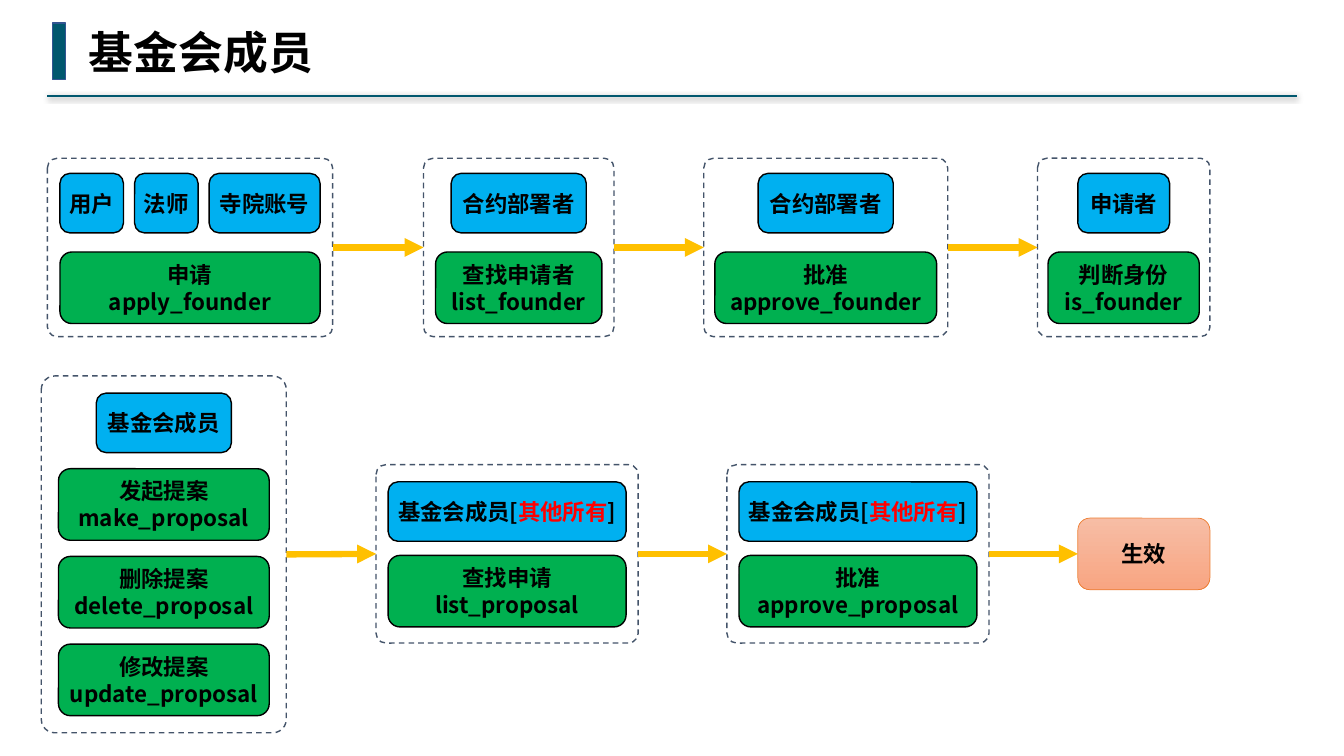
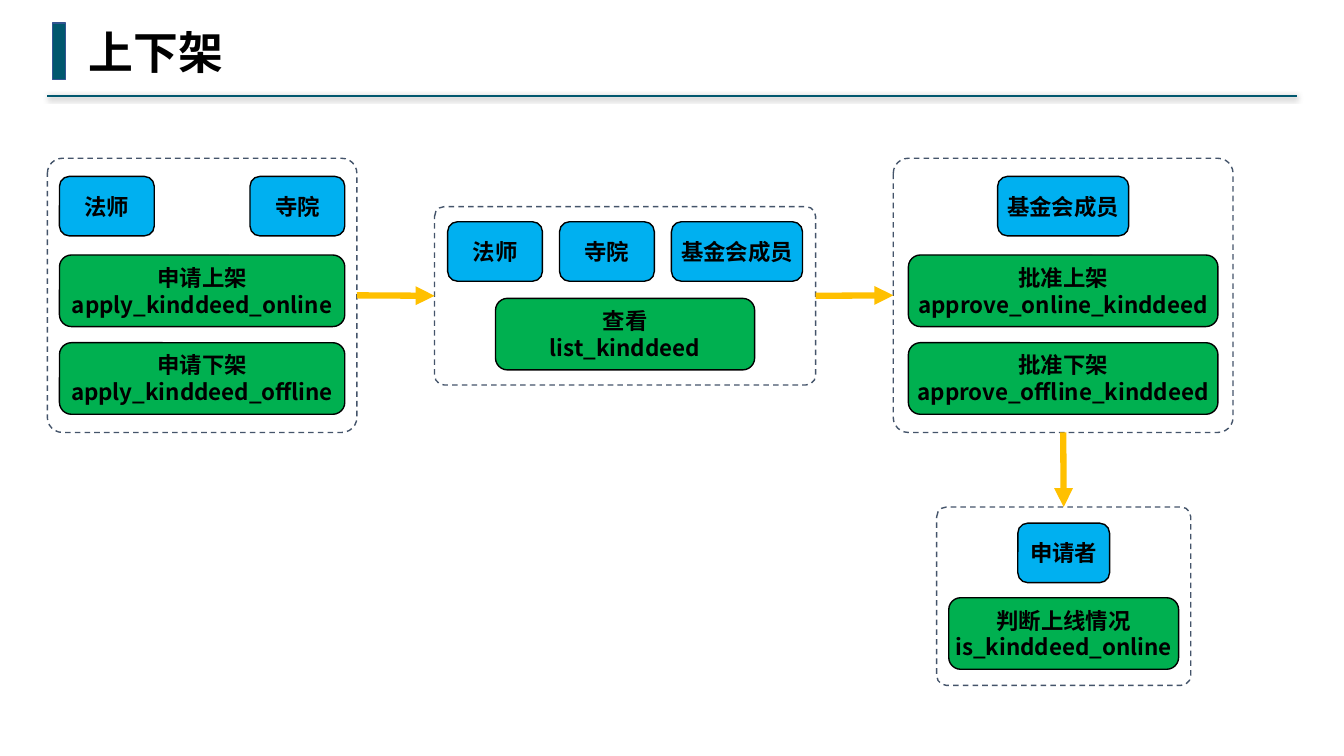
from lxml import etree
from pptx import Presentation
from pptx.dml.color import RGBColor
from pptx.enum.dml import MSO_LINE
from pptx.enum.shapes import MSO_CONNECTOR as CONNECTOR, MSO_SHAPE as SHAPE
from pptx.enum.text import MSO_ANCHOR as ANCHOR, MSO_AUTO_SIZE as AUTO_SIZE, PP_ALIGN as ALIGN
from pptx.oxml.ns import qn
from pptx.util import Inches, Pt

COLORS = {
    "accent": "00576E", "accent_edge": "325491", "frame": "44546A",
    "role": "00B0F0", "action": "00B050", "arrow": "FFC000",
    "text": "000000", "highlight": "FF0000",
    "result_top": "F7BDA5", "result_bottom": "F8A582", "result_edge": "ED7D31",
}
RGB = {name: RGBColor.from_string(value) for name, value in COLORS.items()}
EAST_ASIAN_FONT = "Noto Sans CJK SC"
LABEL_FONT = {"name": EAST_ASIAN_FONT, "size": Pt(16), "bold": True}
TITLE_FONT = {"name": "DejaVu Sans Mono", "size": Pt(32), "bold": True}
LABEL_FRAME = {"word_wrap": False, "vertical_anchor": ANCHOR.MIDDLE} | {
    f"margin_{side}": Inches(0.04) for side in ("left", "top", "right", "bottom")}
TITLE_FRAME = {"word_wrap": False, "vertical_anchor": ANCHOR.TOP, "auto_size": AUTO_SIZE.NONE}
ROLE_HEIGHT, ACTION_HEIGHT, ACTION_PITCH = 0.59, 0.71, 0.87
TOP, LEFT, BOTTOM, RIGHT = range(4)

SLIDES = [
    {
        "title": "基金会成员",
        "panels": {
            "apply": {"box": (0.47, 1.57, 2.83, 1.77), "offsets": (0.15, 0.93), "gap": 0.11,
                      "roles": [("用户", 0.63), ("法师", 0.63), ("寺院账号", 1.1)],
                      "actions": [("申请", "apply_founder")], "action_width": 2.58},
            "list": {"box": (4.2, 1.57, 1.89, 1.77), "offsets": (0.15, 0.93),
                     "roles": [("合约部署者", 1.34)],
                     "actions": [("查找申请者", "list_founder")], "action_width": 1.65},
            "approve": {"box": (6.98, 1.57, 2.42, 1.77), "offsets": (0.15, 0.93),
                        "roles": [("合约部署者", 1.34)],
                        "actions": [("批准", "approve_founder")], "action_width": 2.2},
            "check": {"box": (10.29, 1.57, 1.71, 1.77), "offsets": (0.15, 0.93),
                      "roles": [("申请者", 0.91)],
                      "actions": [("判断身份", "is_founder")], "action_width": 1.5},
            "propose": {"box": (0.41, 3.73, 2.43, 3.54), "offsets": (0.17, 0.92),
                        "roles": [("基金会成员", 1.34)],
                        "actions": [("发起提案", "make_proposal"), ("删除提案", "delete_proposal"),
                                    ("修改提案", "update_proposal")], "action_width": 2.09},
            "list_proposal": {"box": (3.73, 4.61, 2.6, 1.77), "offsets": (0.17, 0.9),
                              "roles": [("基金会成员[|其他所有|]", 2.36)],
                              "actions": [("查找申请", "list_proposal")], "action_width": 2.36},
            "approve_proposal": {"box": (7.21, 4.61, 2.6, 1.77), "offsets": (0.17, 0.9),
                                 "roles": [("基金会成员[|其他所有|]", 2.36)],
                                 "actions": [("批准", "approve_proposal")], "action_width": 2.36},
        },
        "result": ("生效", (10.69, 5.14, 1.31, 0.71)),
        "links": [("apply", RIGHT, "list", LEFT), ("list", RIGHT, "approve", LEFT),
                  ("approve", RIGHT, "check", LEFT), ("propose", RIGHT, "list_proposal", LEFT),
                  ("list_proposal", RIGHT, "approve_proposal", LEFT),
                  ("approve_proposal", RIGHT, "result", LEFT)],
    },
    {
        "title": "上下架",
        "panels": {
            "apply": {"box": (0.47, 1.57, 3.07, 2.72), "offsets": (0.18, 0.96), "gap": 0.95,
                      "roles": [("法师", 0.94), ("寺院", 0.94)],
                      "actions": [("申请上架", "apply_kinddeed_online"),
                                  ("申请下架", "apply_kinddeed_offline")], "action_width": 2.83},
            "list": {"box": (4.31, 2.05, 3.78, 1.77), "offsets": (0.15, 0.91), "gap": 0.17,
                     "roles": [("法师", 0.94), ("寺院", 0.94), ("基金会成员", 1.3)],
                     "actions": [("查看", "list_kinddeed")], "action_width": 2.57},
            "approve": {"box": (8.86, 1.57, 3.37, 2.72), "offsets": (0.18, 0.96),
                        "roles": [("基金会成员", 1.3)],
                        "actions": [("批准上架", "approve_online_kinddeed"),
                                    ("批准下架", "approve_offline_kinddeed")], "action_width": 3.07},
            "check": {"box": (9.29, 5.03, 2.52, 1.77), "offsets": (0.16, 0.9),
                      "roles": [("申请者", 0.91)],
                      "actions": [("判断上线情况", "is_kinddeed_online")], "action_width": 2.28},
        },
        "links": [("apply", RIGHT, "list", LEFT), ("list", RIGHT, "approve", LEFT),
                  ("approve", BOTTOM, "check", TOP)],
    },
]


def write_text(frame, lines, frame_format, font_format, alignment):
    for attribute, value in frame_format.items():
        setattr(frame, attribute, value)
    for index, line in enumerate(lines):
        paragraph = frame.add_paragraph() if index else frame.paragraphs[0]
        paragraph.alignment = alignment
        for position, piece in enumerate(line.split("|")):
            run = paragraph.add_run()
            run.text = piece
            for attribute, value in font_format.items():
                setattr(run.font, attribute, value)
            run.font.color.rgb = RGB["highlight" if position % 2 else "text"]
            properties = run._r.get_or_add_rPr()
            etree.SubElement(properties, qn("a:ea"), typeface=EAST_ASIAN_FONT)


def add_box(shapes, kind, box, fill, edge, edge_width=1):
    shape = shapes.add_shape(kind, *map(Inches, box))
    shape.shadow.inherit = False
    if fill:
        shape.fill.solid()
        shape.fill.fore_color.rgb = RGB[fill]
    else:
        shape.fill.background()
    shape.line.color.rgb = RGB[edge]
    shape.line.width = Pt(edge_width)
    return shape


presentation = Presentation()
presentation.slide_width = Inches(13.33)
presentation.slide_height = Inches(7.5)

for content in SLIDES:
    slide = presentation.slides.add_slide(presentation.slide_layouts[5])
    title = slide.shapes.title
    title.left, title.top = Inches(0.78), Inches(0.19)
    title.width, title.height = Inches(0.2 + 0.45 * len(content["title"])), Inches(0.64)
    write_text(title.text_frame, [content["title"]], TITLE_FRAME, TITLE_FONT, ALIGN.LEFT)
    add_box(slide.shapes, SHAPE.RECTANGLE, (0.52, 0.23, 0.13, 0.56), "accent", "accent_edge")

    rule = slide.shapes.add_connector(
        CONNECTOR.STRAIGHT, Inches(0.47), Inches(0.95), Inches(12.86), Inches(0.95))
    rule.line.color.rgb = RGB["accent"]
    rule.line.width = Pt(1.5)
    effects = etree.SubElement(rule.element.spPr, qn("a:effectLst"))
    shadow = etree.SubElement(effects, qn("a:outerShdw"), blurRad=str(Pt(4)), dist=str(Pt(1)),
                              dir="5400000", algn="t", rotWithShape="0")
    shadow_color = etree.SubElement(shadow, qn("a:srgbClr"), val=COLORS["text"])
    etree.SubElement(shadow_color, qn("a:alpha"), val="40000")

    nodes = {}
    for name, panel in content["panels"].items():
        left, top, width, height = panel["box"]
        center = left + width / 2
        role_offset, action_offset = panel["offsets"]
        group = slide.shapes.add_group_shape()
        frame = add_box(group.shapes, SHAPE.ROUNDED_RECTANGLE, panel["box"], None, "frame")
        frame.adjustments[0] = 0.055
        frame.line.dash_style = MSO_LINE.DASH
        nodes[name] = frame

        gap = panel.get("gap", 0)
        row_width = sum(role_width for _, role_width in panel["roles"])
        row_width += gap * (len(panel["roles"]) - 1)
        role_left = center - row_width / 2
        blocks = []
        for label, role_width in panel["roles"]:
            blocks.append(([label], "role", (role_left, top + role_offset, role_width, ROLE_HEIGHT)))
            role_left += role_width + gap
        action_width = panel["action_width"]
        for index, lines in enumerate(panel["actions"]):
            action_top = top + action_offset + index * ACTION_PITCH
            box = (center - action_width / 2, action_top, action_width, ACTION_HEIGHT)
            blocks.append((lines, "action", box))
        for lines, fill, box in blocks:
            block = add_box(group.shapes, SHAPE.ROUNDED_RECTANGLE, box, fill, "text")
            write_text(block.text_frame, lines, LABEL_FRAME, LABEL_FONT, ALIGN.CENTER)

    if "result" in content:
        label, box = content["result"]
        result = add_box(slide.shapes, SHAPE.ROUNDED_RECTANGLE, box, None, "result_edge", 0.5)
        result.fill.gradient()
        result.fill.gradient_angle = 270
        for stop, color, position in zip(
                result.fill.gradient_stops, ("result_top", "result_bottom"), (0, 1)):
            stop.color.rgb = RGB[color]
            stop.position = position
        write_text(result.text_frame, [label], {"vertical_anchor": ANCHOR.MIDDLE},
                   LABEL_FONT, ALIGN.CENTER)
        nodes["result"] = result

    for source, source_side, target, target_side in content["links"]:
        arrow = slide.shapes.add_connector(CONNECTOR.STRAIGHT, 0, 0, 0, 0)
        arrow.begin_connect(nodes[source], source_side)
        arrow.end_connect(nodes[target], target_side)
        arrow.line.color.rgb = RGB["arrow"]
        arrow.line.width = Pt(4.5)
        properties = arrow.element.spPr
        etree.SubElement(properties.find(qn("a:ln")), qn("a:tailEnd"), type="triangle")
        etree.SubElement(properties, qn("a:effectLst"))

presentation.save("out.pptx")
